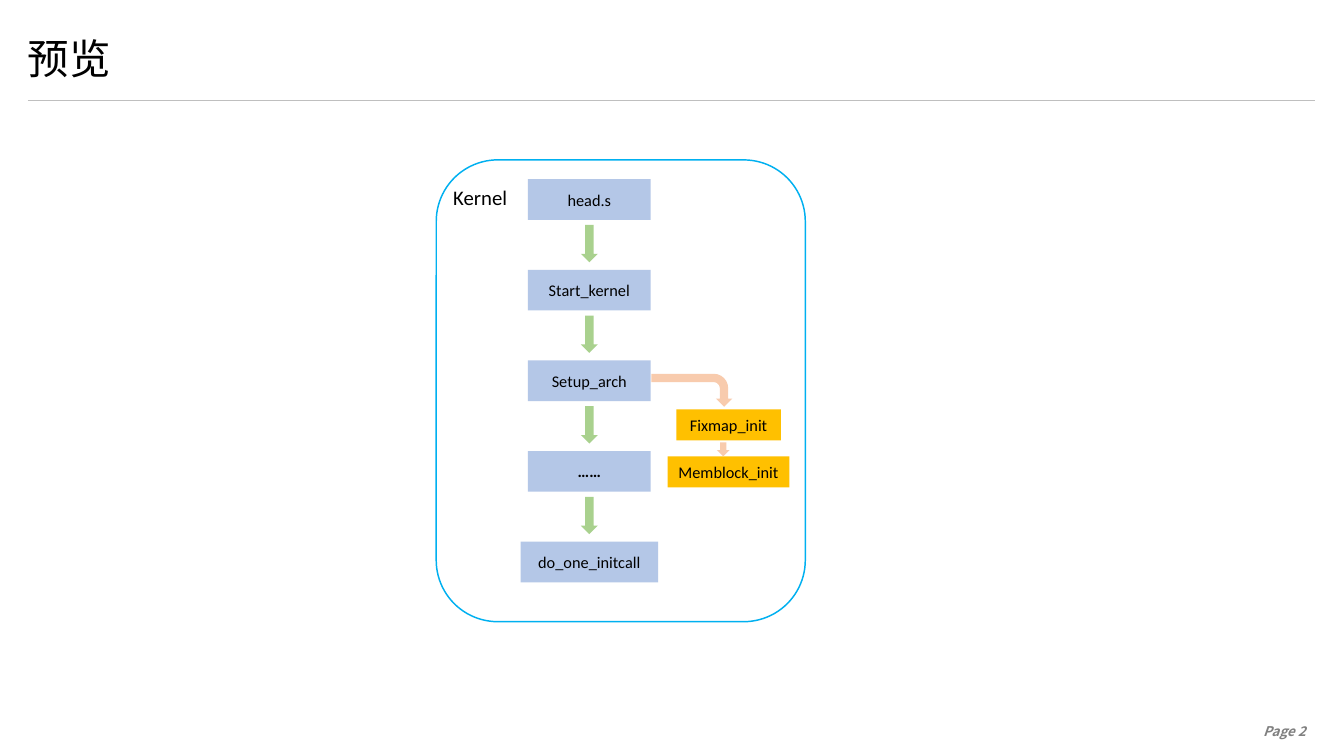
from lxml.etree import SubElement
from pptx import Presentation
from pptx.dml.color import RGBColor
from pptx.enum.shapes import MSO_CONNECTOR, MSO_SHAPE as Shape
from pptx.enum.text import MSO_ANCHOR as Anchor, MSO_AUTO_SIZE as AutoSize, PP_ALIGN as Align
from pptx.oxml.ns import qn
from pptx.util import Pt

COLORS = {
    "text": "000000", "page": "808080", "rule": "BFBFBF", "white": "FFFFFF",
    "frame": "00B0F0", "step": "B4C7E7", "flow": "A9D18E",
    "init": "FFC000", "branch": "F8CBAD",
}
STEPS = ["head.s", "Start_kernel", "Setup_arch", "……", "do_one_initcall"]
STEP_CENTER, STEP_TOP, STEP_PITCH, STEP_HEIGHT = 397.8, 121, 61.2, 27.4
STEP_WIDTH, LAST_STEP_WIDTH = 82.8, 92.9
ARROW_WIDTH, ARROW_HEIGHT, ARROW_GAP = 11.5, 25.2, 3.5


def color(name):
    return RGBColor.from_string(COLORS[name])


class SlideBuilder:
    def __init__(self, slide, font="Calibri"):
        self.slide = slide
        self.font = font

    def set_text(self, shape, text, size, align=Align.LEFT, ink="text", font=None):
        frame = shape.text_frame
        frame.text = text
        paragraph = frame.paragraphs[0]
        paragraph.alignment = align
        paragraph.font.name = font or self.font
        paragraph.font.size = Pt(size)
        paragraph.font.color.rgb = color(ink)
        return paragraph

    def title(self, text, left, top, width, height):
        shape = self.slide.shapes.title
        shape.left, shape.top = Pt(left), Pt(top)
        shape.width, shape.height = Pt(width), Pt(height)
        frame = shape.text_frame
        frame.auto_size = AutoSize.NONE
        frame.vertical_anchor = Anchor.MIDDLE
        frame.margin_left = frame.margin_right = Pt(6.5)
        self.set_text(shape, text, 28).line_spacing = 0.9

    def rule(self, left, right, y):
        line = self.slide.shapes.add_connector(
            MSO_CONNECTOR.STRAIGHT, Pt(left), Pt(y), Pt(right), Pt(y))
        line.line.color.rgb = color("rule")
        line.line.width = Pt(0.5)
        SubElement(line._element.spPr, qn("a:effectLst"))

    def label(self, text, left, top, width, height, size, **style):
        box = self.slide.shapes.add_textbox(Pt(left), Pt(top), Pt(width), Pt(height))
        box.text_frame.word_wrap = True
        return self.set_text(box, text, size, **style)

    def shape(self, kind, left, top, width, height, fill, outline=None):
        shape = self.slide.shapes.add_shape(kind, Pt(left), Pt(top), Pt(width), Pt(height))
        shape.shadow.inherit = False
        shape.fill.solid()
        shape.fill.fore_color.rgb = color(fill)
        if outline:
            shape.line.color.rgb = color(outline)
            shape.line.width = Pt(1)
        else:
            shape.line.fill.background()
        return shape

    def box(self, text, center, top, width, height, fill):
        """Add a captioned rectangle centred on a vertical axis."""
        shape = self.shape(Shape.RECTANGLE, center - width / 2, top, width, height, fill)
        shape.text_frame.word_wrap = False
        shape.text_frame.vertical_anchor = Anchor.MIDDLE
        return self.set_text(shape, text, 11, Align.CENTER)

    def down_arrow(self, center, top, width, height, fill):
        self.shape(Shape.DOWN_ARROW, center - width / 2, top, width, height, fill)


def main():
    presentation = Presentation()
    presentation.slide_width, presentation.slide_height = Pt(907.2), Pt(510.48)
    builder = SlideBuilder(presentation.slides.add_slide(presentation.slide_layouts[5]))

    builder.rule(18.9, 887.8, 67.7)
    page = builder.label("Page 2", 716.4, 484.6, 172, 17.3, 9,
                         align=Align.RIGHT, ink="page", font="Noto Sans CJK SC")
    page.font.bold = page.font.italic = True
    builder.title("预览", 12.2, 19.4, 514.8, 43.2)

    builder.shape(Shape.ROUNDED_RECTANGLE, 294.5, 108, 249.1, 311.8, "white", "frame")
    builder.label("Kernel", 298.8, 121, 54, 24.5, 14)

    for index, name in enumerate(STEPS):
        top = STEP_TOP + index * STEP_PITCH
        is_last = index == len(STEPS) - 1
        width = LAST_STEP_WIDTH if is_last else STEP_WIDTH
        caption = builder.box(name, STEP_CENTER, top, width, STEP_HEIGHT, "step")
        caption.font.bold = name == "……"
        if not is_last:
            builder.down_arrow(STEP_CENTER, top + STEP_HEIGHT + ARROW_GAP,
                               ARROW_WIDTH, ARROW_HEIGHT, "flow")

    branch = builder.shape(Shape.BENT_ARROW, 455.8, 236.2, 22.3, 54.7, "branch")
    branch.rotation = 90
    builder.box("Fixmap_init", 491.8, 276.5, 70.6, 20.9, "init")
    builder.box("Memblock_init", 491.8, 308.2, 82.1, 20.9, "init")
    builder.down_arrow(488.2, 298.8, 8.6, 9.4, "branch")

    presentation.save("out.pptx")


if __name__ == "__main__":
    main()
